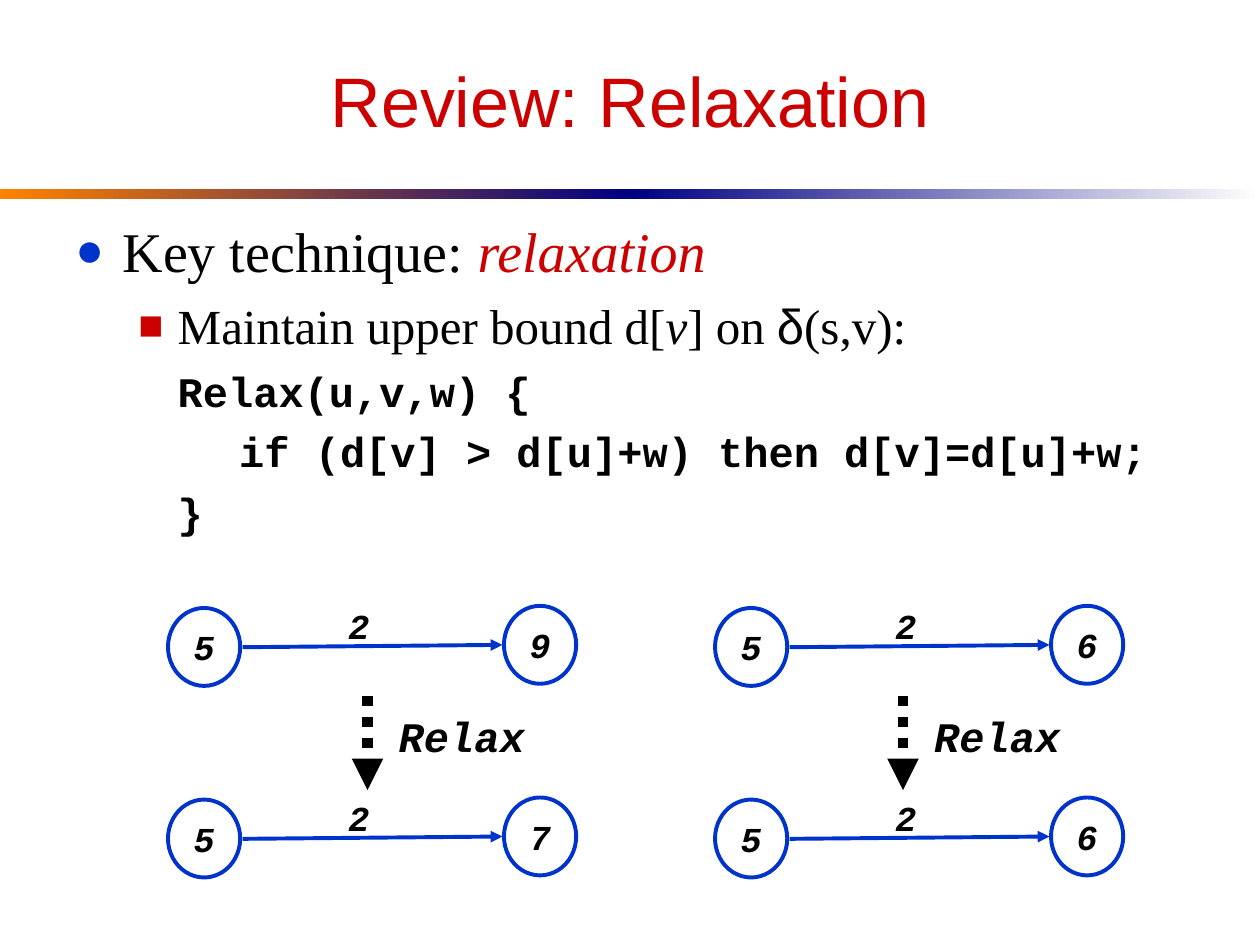
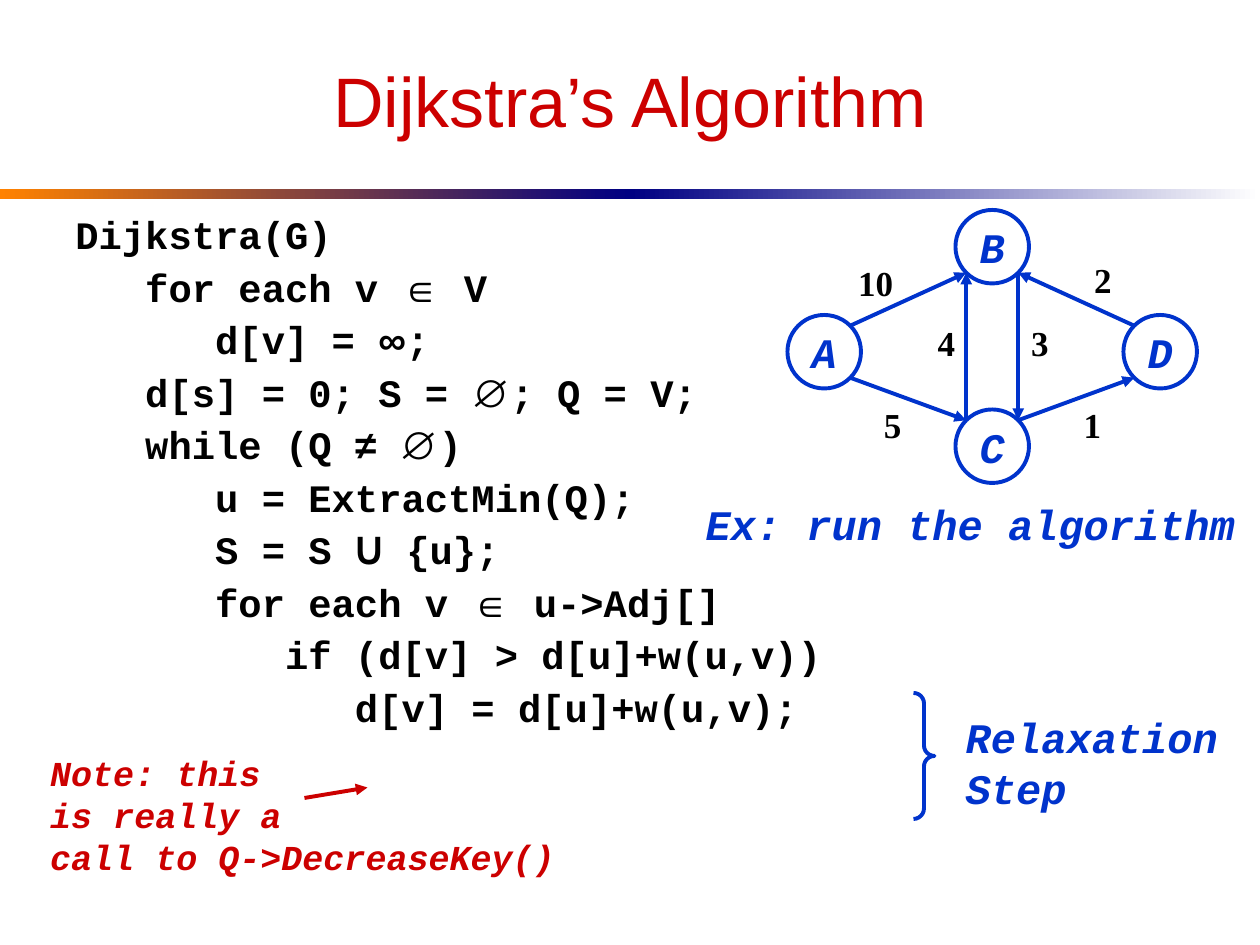
from dataclasses import dataclass, replace
from typing import NamedTuple, Optional

from lxml.etree import SubElement as Sub
from pptx import Presentation
from pptx.dml.color import RGBColor as RGB
from pptx.enum.dml import MSO_LINE
from pptx.enum.shapes import MSO_CONNECTOR, MSO_SHAPE
from pptx.enum.text import MSO_ANCHOR as ANCHOR, PP_ALIGN as ALIGN
from pptx.oxml.ns import qn
from pptx.util import Emu, Pt

COLS, ROWS = 120, 90  # slide grid
CELL = 76200          # one square cell, a twelfth of an inch


@dataclass(frozen=True)
class Theme:
    red: RGB = RGB(0xCC, 0x00, 0x00)
    blue: RGB = RGB(0x00, 0x33, 0xCC)
    navy: RGB = RGB(0x00, 0x00, 0x82)
    orange: RGB = RGB(0xFF, 0x82, 0x00)
    white: RGB = RGB(0xFF, 0xFF, 0xFF)
    black: RGB = RGB(0x00, 0x00, 0x00)
    sans: str = "Arial"
    serif: str = "Times New Roman"
    mono: str = "Courier New"
    union: str = "Cabin"
    title: float = 40
    key: float = 32
    point: float = 28
    code: float = 24
    listing: float = 22.2
    label: float = 20
    stroke: float = 2.25
    dotted: float = 6


T = Theme()


class Box(NamedTuple):
    x: float
    y: float
    w: float
    h: float


class Spot(NamedTuple):
    x: float
    y: float


@dataclass(frozen=True)
class Style:
    font: str
    size: float
    color: RGB = T.black
    bold: bool = False
    italic: bool = False


class Run(NamedTuple):
    text: str
    style: Style


class Bullet(NamedTuple):
    char: str
    color: RGB


@dataclass(frozen=True)
class Para:
    runs: list[Run]
    level: int = 0
    left: float = 0
    first: float = 0
    before: float = 0
    spacing: Optional[float] = None
    bullet: Optional[Bullet] = None
    align: ALIGN = ALIGN.LEFT


TITLE = Style(T.sans, T.title, T.red)
KEY = Style(T.serif, T.key)
POINT = Style(T.serif, T.point)
CODE = Style(T.mono, T.code, bold=True)
LISTING = replace(CODE, size=T.listing)
SYMBOL = replace(LISTING, font=T.sans)
STEP = replace(CODE, italic=True)
VALUE = replace(STEP, size=T.label)
CALLOUT = replace(STEP, color=T.blue)
NOTE = replace(VALUE, color=T.red)
WEIGHT = Style(T.serif, T.label, bold=True)

TITLE_BOX = Box(6, 3, 108, 13)
BODY_BOX = Box(6, 20, 108, 57)


def cells(n: float) -> Emu:
    return Emu(round(n * CELL))


# ---- text ----
def set_paragraph(p, para: Para) -> None:
    p.alignment, p.level = para.align, para.level
    pPr = p._p.get_or_add_pPr()
    pPr.set("marL", str(cells(para.left)))
    pPr.set("indent", str(cells(para.first)))
    if para.bullet:
        clr = Sub(pPr, qn("a:buClr"))
        Sub(clr, qn("a:srgbClr"), val=str(para.bullet.color))
        Sub(pPr, qn("a:buSzPct"), val="85000")
        Sub(pPr, qn("a:buFont"), typeface=T.sans)
        Sub(pPr, qn("a:buChar"), char=para.bullet.char)
    else:
        Sub(pPr, qn("a:buNone"))
    p.space_before = Pt(para.before)
    if para.spacing:
        p.line_spacing = para.spacing
    for run in para.runs:
        for i, line in enumerate(run.text.split("\n")):
            if i:
                p.add_line_break()
            r = p.add_run()
            r.text = line
            f, st = r.font, run.style
            f.name, f.size, f.bold, f.italic = st.font, Pt(st.size), st.bold, st.italic
            f.color.rgb = st.color


def fill_text(tf, paras: list[Para], wrap: bool, anchor: ANCHOR) -> None:
    tf.word_wrap, tf.vertical_anchor = wrap, anchor
    for i, para in enumerate(paras):
        set_paragraph(tf.add_paragraph() if i else tf.paragraphs[0], para)


def add_text(s, box: Box, paras: list[Para], wrap: bool = True,
             anchor: ANCHOR = ANCHOR.TOP) -> None:
    sp = s.shapes.add_textbox(*map(cells, box))
    fill_text(sp.text_frame, paras, wrap, anchor)


def add_label(s, box: Box, text: str, style: Style,
              align: ALIGN = ALIGN.CENTER) -> None:
    add_text(s, box, [Para([Run(text, style)], align=align)], wrap=False)


# ---- shapes and lines ----
def add_preset(s, kind: MSO_SHAPE, box: Box):
    sp = s.shapes.add_shape(kind, *map(cells, box))
    sp.shadow.inherit = False
    return sp


def outline(sp) -> None:
    sp.line.color.rgb, sp.line.width = T.blue, Pt(T.stroke)


def add_node(s, box: Box, text: str, style: Style) -> None:
    sp = add_preset(s, MSO_SHAPE.OVAL, box)
    sp.fill.solid()
    sp.fill.fore_color.rgb = T.white
    outline(sp)
    para = Para([Run(text, style)], align=ALIGN.CENTER)
    fill_text(sp.text_frame, [para], False, ANCHOR.MIDDLE)


def add_arrow(s, start: Spot, end: Spot, color: RGB = T.blue,
              width: float = T.stroke, dash: Optional[MSO_LINE] = None) -> None:
    cx = s.shapes.add_connector(MSO_CONNECTOR.STRAIGHT, *map(cells, start + end))
    cx.line.color.rgb, cx.line.width = color, Pt(width)
    if dash:
        cx.line.dash_style = dash
    Sub(cx.line._get_or_add_ln(), qn("a:tailEnd"), type="triangle")
    Sub(cx._element.spPr, qn("a:effectLst"))


# ---- shared frame: title and two-part gradient band ----
def new_slide(prs, title: str):
    s = prs.slides.add_slide(prs.slide_layouts[6])
    half = COLS / 2
    for i, colors in enumerate([(T.orange, T.navy), (T.navy, T.white)]):
        sp = add_preset(s, MSO_SHAPE.RECTANGLE, Box(i * half, 18, half, 1))
        sp.line.fill.background()
        sp.fill.gradient()
        sp.fill.gradient_angle = 0
        for stop, color in zip(sp.fill.gradient_stops, colors):
            stop.color.rgb = color
    heading = Para([Run(title, TITLE)], align=ALIGN.CENTER)
    add_text(s, TITLE_BOX, [heading], anchor=ANCHOR.MIDDLE)
    return s


# ---- slide 1: relaxation ----
NODE_W, NODE_H = 6.88, 7.42


def add_edge_pair(s, x: float, y: float, source: str, target: str) -> None:
    add_node(s, Box(x + 32, y, NODE_W, NODE_H), target, VALUE)
    add_node(s, Box(x, y + 0.2, NODE_W, NODE_H), source, VALUE)
    add_arrow(s, Spot(x + 7.1, y + 3.94), Spot(x + 31.85, y + 3.72))
    add_label(s, Box(x + 16, y - 0.7, 4.35, 5.25), "2", VALUE)


def relaxation_slide(prs) -> None:
    s = new_slide(prs, "Review: Relaxation")
    nested = Para([], level=1, left=9.75, before=6)
    add_text(s, BODY_BOX, [
        Para([Run("Key technique: ", KEY),
              Run("relaxation", replace(KEY, color=T.red, italic=True))],
             left=4.5, first=-4.5, bullet=Bullet("●", T.blue)),
        replace(nested, first=-3.75, before=7, bullet=Bullet("■", T.red), runs=[
            Run("Maintain upper bound d[", POINT),
            Run("v", replace(POINT, italic=True)), Run("] on ", POINT),
            Run("δ", replace(POINT, font=T.sans)), Run("(s,v):", POINT)]),
        replace(nested, runs=[Run("Relax(u,v,w) {", CODE)]),
        replace(nested, first=-3.75,
                runs=[Run("    if (d[v] > d[u]+w) then d[v]=d[u]+w;", CODE)]),
        replace(nested, runs=[Run("}", CODE)]),
    ])
    # Each column: edge before, dotted arrow, edge after
    for col, targets in enumerate(["97", "66"]):
        for row, target in enumerate(targets):
            add_edge_pair(s, 16 + 52.1 * col, 57.7 + 18.25 * row, "5", target)
        x = 35 + 51 * col
        add_arrow(s, Spot(x, 66.25), Spot(x, 75.25), T.black, T.dotted,
                  MSO_LINE.ROUND_DOT)
        add_label(s, Box(x + 1.8, 67.1, 14.4, 6), "Relax", STEP, ALIGN.LEFT)


# ---- slide 2: Dijkstra ----
SYMBOLS = {"∈": SYMBOL, "∞": SYMBOL, "∅": SYMBOL, "≠": SYMBOL,
           "U": replace(LISTING, font=T.union)}
LINES = [
    "Dijkstra(G)",
    "   for each v ∈ V",
    "      d[v] = ∞;",
    "   d[s] = 0; S = ∅; Q = V;",
    "   while (Q ≠ ∅)",
    "      u = ExtractMin(Q);",
    "      S = S U {u};",
    "      for each v ∈ u->Adj[]",
    "         if (d[v] > d[u]+w(u,v))",
    "            d[v] = d[u]+w(u,v);",
]
NODE = 7
NODES = {"A": Spot(75, 30), "B": Spot(91, 20), "C": Spot(91, 39), "D": Spot(107, 30)}
# Edge: source, its side, target, its side; sides are (right, down) signs
EDGES = [
    ("A", (1, -1), "B", (-1, 1)),
    ("A", (1, 1), "C", (-1, -1)),
    ("C", (1, -1), "D", (-1, 1)),
    ("D", (-1, -1), "B", (1, 1)),
    ("C", (-1, -1), "B", (-1, 1)),
    ("B", (1, 1), "C", (1, -1)),
]
# Edge weights with the left and top of their labels
WEIGHTS = [("10", 80.5, 24.35), ("4", 88.1, 30), ("3", 97, 30),
           ("2", 103, 24), ("1", 102, 37.8), ("5", 83, 37.8)]


def code_runs(line: str) -> list[Run]:
    runs: list[Run] = []
    for ch in line:
        style = SYMBOLS.get(ch, LISTING)
        if runs and runs[-1].style == style:
            runs[-1] = Run(runs[-1].text + ch, style)
        else:
            runs.append(Run(ch, style))
    return runs


def diagonal(name: str, side: tuple[int, int]) -> Spot:
    """Point on a node's circle at 45 degrees."""
    mid, reach = NODE / 2, NODE / 2 * 0.5 ** 0.5
    return Spot(*(at + mid + sign * reach for at, sign in zip(NODES[name], side)))


def dijkstra_slide(prs) -> None:
    s = new_slide(prs, "Dijkstra’s Algorithm")
    add_text(s, BODY_BOX, [
        Para(code_runs(line), left=4.5, first=-4.5, before=6 if i else 0, spacing=0.9)
        for i, line in enumerate(LINES)])
    # Callouts
    brace = add_preset(s, MSO_SHAPE.RIGHT_BRACE, Box(87, 66, 2, 12))
    brace.adjustments[0] = 0.5
    brace.fill.background()
    outline(brace)
    add_label(s, Box(90.8, 67.2, 26.4, 10.8), "Relaxation\nStep", CALLOUT, ALIGN.LEFT)
    add_label(s, Box(3.6, 71, 50.5, 13.2),
              "Note: this\nis really a\ncall to Q->DecreaseKey()", NOTE, ALIGN.LEFT)
    add_arrow(s, Spot(29, 76), Spot(35, 75), T.red)
    # Graph
    for name, at in NODES.items():
        add_node(s, Box(at.x, at.y, NODE, NODE), name, CALLOUT)
    for source, out, target, into in EDGES:
        add_arrow(s, diagonal(source, out), diagonal(target, into))
    for text, x, y in WEIGHTS:
        add_label(s, Box(x, y, 2.3 + 1.75 * len(text), 5.25), text, WEIGHT)
    add_label(s, Box(66, 46.9, 52.8, 6), "Ex: run the algorithm", CALLOUT)


def main() -> None:
    prs = Presentation()
    prs.slide_width, prs.slide_height = cells(COLS), cells(ROWS)
    relaxation_slide(prs)
    dijkstra_slide(prs)
    prs.save("out.pptx")


if __name__ == "__main__":
    main()
